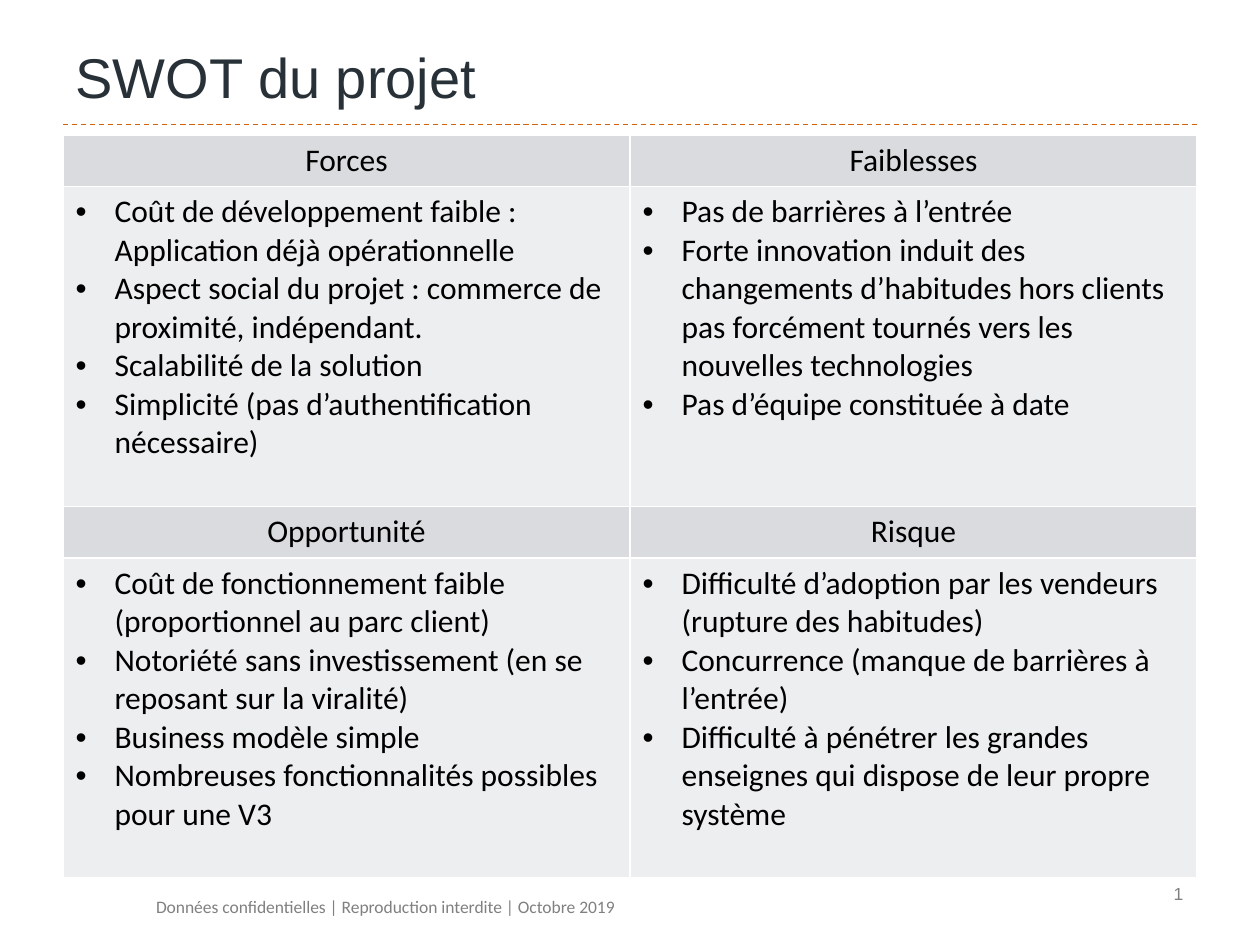
"""Build the SWOT slide of the project."""
from lxml.etree import SubElement
from pptx import Presentation
from pptx.dml.color import RGBColor
from pptx.enum.dml import MSO_LINE
from pptx.enum.shapes import MSO_CONNECTOR
from pptx.enum.text import MSO_ANCHOR, PP_ALIGN
from pptx.oxml import parse_xml
from pptx.oxml.ns import nsdecls, qn
from pptx.util import Inches, Pt

COLORS = {
    "title": "283138", "text": "000000", "muted": "808080", "rule": "D2610C",
    "header": "D9DBDE", "body": "EDEEEF", "border": "FFFFFF",
}
LEFT, WIDTH = 0.5, 9
HEADER_HEIGHT, BODY_HEIGHT = 0.41, 2.54
BULLET_INDENT = 0.31

SWOT = [
    [
        ("Forces", [
            "Coût de développement faible : Application déjà opérationnelle",
            "Aspect social du projet : commerce de proximité, indépendant.",
            "Scalabilité de la solution",
            "Simplicité (pas d’authentification nécessaire)",
        ]),
        ("Faiblesses", [
            "Pas de barrières à l’entrée",
            "Forte innovation induit des changements d’habitudes hors clients "
            "pas forcément tournés vers les nouvelles technologies",
            "Pas d’équipe constituée à date",
        ]),
    ],
    [
        ("Opportunité", [
            "Coût de fonctionnement faible (proportionnel au parc client)",
            "Notoriété sans investissement (en se reposant sur la viralité)",
            "Business modèle simple",
            "Nombreuses fonctionnalités possibles pour une V3",
        ]),
        ("Risque", [
            "Difficulté d’adoption par les vendeurs (rupture des habitudes)",
            "Concurrence (manque de barrières à l’entrée)",
            "Difficulté à pénétrer les grandes enseignes qui dispose de leur "
            "propre système",
        ]),
    ],
]


def write_text(frame, lines, size=18, font="Calibri", color="text",
               align=PP_ALIGN.LEFT, bullets=False):
    """Fill a text frame with one formatted paragraph per line."""
    frame.word_wrap = True
    for index, line in enumerate(lines):
        para = frame.add_paragraph() if index else frame.paragraphs[0]
        para.alignment = align
        span = para.add_run()
        span.text = line
        span.font.size = Pt(size)
        span.font.name = font
        span.font.bold = False
        span.font.color.rgb = RGBColor.from_string(COLORS[color])
        if bullets:
            add_bullet(para)


def add_bullet(para):
    """Give a paragraph a round bullet with a hanging indent."""
    properties = para._p.get_or_add_pPr()
    properties.set("marL", str(Inches(BULLET_INDENT)))
    properties.set("indent", str(-Inches(BULLET_INDENT)))
    SubElement(properties, qn("a:buFont"), typeface="Arial")
    SubElement(properties, qn("a:buChar"), char="•")


def place(shape, left, top, width, height):
    """Set the position and size of a shape in inches."""
    shape.left, shape.top = Inches(left), Inches(top)
    shape.width, shape.height = Inches(width), Inches(height)


def add_title(page, text):
    """Format the title placeholder."""
    title = page.shapes.title
    place(title, LEFT, 0.17, WIDTH, 0.75)
    title.text_frame.vertical_anchor = MSO_ANCHOR.BOTTOM
    write_text(title.text_frame, [text], size=32, font="Arial", color="title")


def add_label(page, text, left, top, width, height, **style):
    """Add a small muted text box."""
    box = page.shapes.add_textbox(
        Inches(left), Inches(top), Inches(width), Inches(height))
    write_text(box.text_frame, [text], size=10, color="muted", **style)


def add_rule(page, top):
    """Add a dashed line across the content width."""
    rule = page.shapes.add_connector(
        MSO_CONNECTOR.STRAIGHT, Inches(LEFT), Inches(top),
        Inches(LEFT + WIDTH), Inches(top))
    rule.line.color.rgb = RGBColor.from_string(COLORS["rule"])
    rule.line.width = Pt(0.75)
    rule.line.dash_style = MSO_LINE.DASH
    SubElement(rule._element.spPr, qn("a:effectLst"))


def format_cell(cell, lines, fill, **style):
    """Write a table cell and set its fill and borders."""
    write_text(cell.text_frame, lines, **style)
    cell.fill.solid()
    cell.fill.fore_color.rgb = RGBColor.from_string(COLORS[fill])
    properties = cell._tc.get_or_add_tcPr()
    for index, side in enumerate("LRTB"):
        properties.insert(index, parse_xml(
            f'<a:ln{side} {nsdecls("a")} w="{Pt(1)}"><a:solidFill>'
            f'<a:srgbClr val="{COLORS["border"]}"/></a:solidFill></a:ln{side}>'))


def add_swot_table(page, quadrants):
    """Add a table with a header row and a bullet row per pair of quadrants."""
    height = len(quadrants) * (HEADER_HEIGHT + BODY_HEIGHT)
    table = page.shapes.add_table(
        2 * len(quadrants), 2, Inches(LEFT), Inches(1.07),
        Inches(WIDTH), Inches(height)).table
    table.first_row = False
    table.horz_banding = False
    for pair_index, pair in enumerate(quadrants):
        header, body = 2 * pair_index, 2 * pair_index + 1
        table.rows[header].height = Inches(HEADER_HEIGHT)
        table.rows[body].height = Inches(BODY_HEIGHT)
        for column, (heading, points) in enumerate(pair):
            format_cell(table.cell(header, column), [heading], "header",
                        align=PP_ALIGN.CENTER)
            format_cell(table.cell(body, column), points, "body", bullets=True)


def main():
    """Create and save the deck."""
    deck = Presentation()
    deck.slide_width, deck.slide_height = Inches(10), Inches(7.5)
    page = deck.slides.add_slide(deck.slide_layouts.get_by_name("Title Only"))
    add_rule(page, 0.99)
    add_title(page, "SWOT du projet")
    add_label(page, "Données confidentielles | Reproduction interdite | Octobre 2019",
              1.14, 7.06, 8.36, 0.29)
    add_label(page, "1", 8.78, 6.96, 0.71, 0.4, font="Arial",
              align=PP_ALIGN.RIGHT)
    add_swot_table(page, SWOT)
    deck.save("out.pptx")


main()
